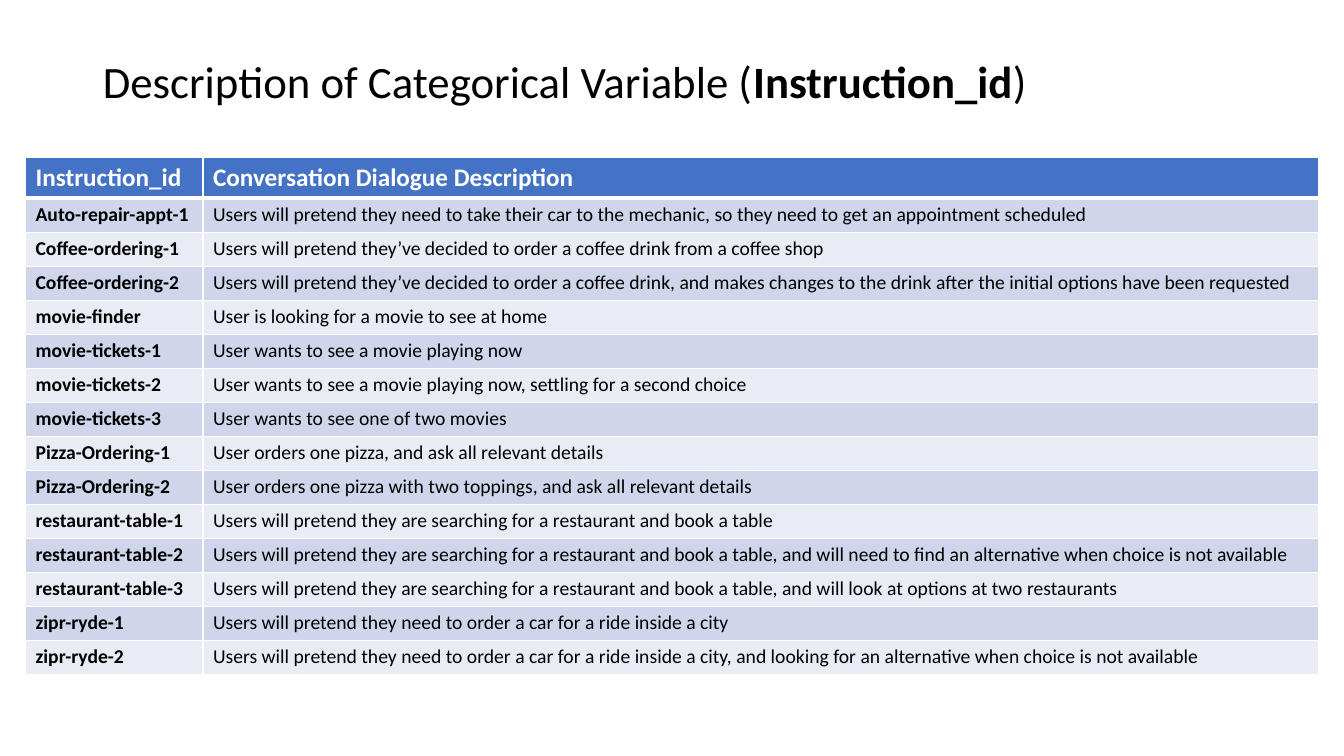
from dataclasses import dataclass
from typing import Any

from lxml.etree import SubElement
from pptx import Presentation
from pptx.dml.color import RGBColor
from pptx.enum.text import MSO_ANCHOR, MSO_AUTO_SIZE, PP_ALIGN
from pptx.oxml.ns import qn
from pptx.util import Inches, Pt

WIDE, HIGH = Inches(13.33), Inches(7.5)


@dataclass(frozen=True)
class Theme:
    font: str = "Calibri"
    ink: str = "000000"
    white: str = "FFFFFF"
    head: str = "4472C4"
    bands: tuple[str, str] = ("CFD5EA", "E9EBF5")
    title: int = 32
    large: int = 18
    small: int = 14
    thin: int = 1
    thick: int = 3


@dataclass(frozen=True)
class Box:
    left: float
    top: float
    width: float
    height: float

    def scale(self) -> dict[str, int]:
        return {
            "left": int(self.left * WIDE),
            "top": int(self.top * HIGH),
            "width": int(self.width * WIDE),
            "height": int(self.height * HIGH),
        }


@dataclass(frozen=True)
class Entry:
    label: str
    text: str


THEME = Theme()
ORDER = "Users will pretend they’ve decided to order a coffee drink"
SEARCH = "Users will pretend they are searching for a restaurant and book a table"
RIDE = "Users will pretend they need to order a car for a ride inside a city"
HEADER = Entry("Instruction_id", "Conversation Dialogue Description")
ENTRIES = [
    Entry("Auto-repair-appt-1", "Users will pretend they need to take their car to the mechanic, "
          "so they need to get an appointment scheduled"),
    Entry("Coffee-ordering-1", f"{ORDER} from a coffee shop"),
    Entry("Coffee-ordering-2", f"{ORDER}, and makes changes to the drink "
          "after the initial options have been requested"),
    Entry("movie-finder", "User is looking for a movie to see at home"),
    Entry("movie-tickets-1", "User wants to see a movie playing now"),
    Entry("movie-tickets-2", "User wants to see a movie playing now, settling for a second choice"),
    Entry("movie-tickets-3", "User wants to see one of two movies"),
    Entry("Pizza-Ordering-1", "User orders one pizza, and ask all relevant details"),
    Entry("Pizza-Ordering-2", "User orders one pizza with two toppings, and ask all relevant details"),
    Entry("restaurant-table-1", SEARCH),
    Entry("restaurant-table-2", f"{SEARCH}, and will need to find an alternative "
          "when choice is not available"),
    Entry("restaurant-table-3", f"{SEARCH}, and will look at options at two restaurants"),
    Entry("zipr-ryde-1", RIDE),
    Entry("zipr-ryde-2", f"{RIDE}, and looking for an alternative when choice is not available"),
]


def apply(target: Any, values: dict[str, Any]) -> None:
    for name, value in values.items():
        setattr(target, name, value)


def write(para: Any, text: str, size: int, tint: str, bold: bool) -> None:
    run = para.add_run()
    run.text = text
    apply(run.font, {"name": THEME.font, "size": Pt(size), "bold": bold})
    run.font.color.rgb = RGBColor.from_string(tint)


def edge(cell: Any, side: str, width: int) -> None:
    line = SubElement(cell._tc.get_or_add_tcPr(), qn(f"a:ln{side}"), w=str(Pt(width)))
    fill = SubElement(line, qn("a:solidFill"))
    SubElement(fill, qn("a:srgbClr"), val=THEME.white)


def draw_title(slide: Any) -> None:
    title = slide.shapes.title
    apply(title, Box(0.069, 0.015, 0.863, 0.193).scale())
    apply(title.text_frame, {
        "vertical_anchor": MSO_ANCHOR.MIDDLE,
        "auto_size": MSO_AUTO_SIZE.NONE,
        "word_wrap": True,
    })
    para = title.text_frame.paragraphs[0]
    apply(para, {"alignment": PP_ALIGN.LEFT, "line_spacing": 0.9})
    parts = [("Description of Categorical Variable (", False), (HEADER.label, True), (")", False)]
    for text, bold in parts:
        write(para, text, THEME.title, THEME.ink, bold)


def draw_cell(cell: Any, text: str, row: int, col: int) -> None:
    head = row == 0
    edges = {
        "L": THEME.thin,
        "R": THEME.thin,
        "T": THEME.thick if row == 1 else THEME.thin,
        "B": THEME.thick if head else THEME.thin,
    }
    for side, width in edges.items():
        edge(cell, side, width)
    cell.fill.solid()
    shade = THEME.head if head else THEME.bands[(row - 1) % 2]
    cell.fill.fore_color.rgb = RGBColor.from_string(shade)
    size, tint = (THEME.large, THEME.white) if head else (THEME.small, THEME.ink)
    write(cell.text_frame.paragraphs[0], text, size, tint, head or col == 0)


def draw_table(slide: Any) -> None:
    first, other = 0.054, 0.045
    cols = (0.132, 0.83)
    rows = [HEADER, *ENTRIES]
    box = Box(0.019, 0.208, sum(cols), first + other * len(ENTRIES))
    table = slide.shapes.add_table(len(rows), len(cols), **box.scale()).table
    for col, share in zip(table.columns, cols):
        col.width = int(share * WIDE)
    for row, entry in enumerate(rows):
        table.rows[row].height = int((other if row else first) * HIGH)
        for col, text in enumerate((entry.label, entry.text)):
            draw_cell(table.cell(row, col), text, row, col)


def main() -> None:
    deck = Presentation()
    apply(deck, {"slide_width": WIDE, "slide_height": HIGH})
    slide = deck.slides.add_slide(deck.slide_layouts[5])
    draw_title(slide)
    draw_table(slide)
    deck.save("out.pptx")


if __name__ == "__main__":
    main()
